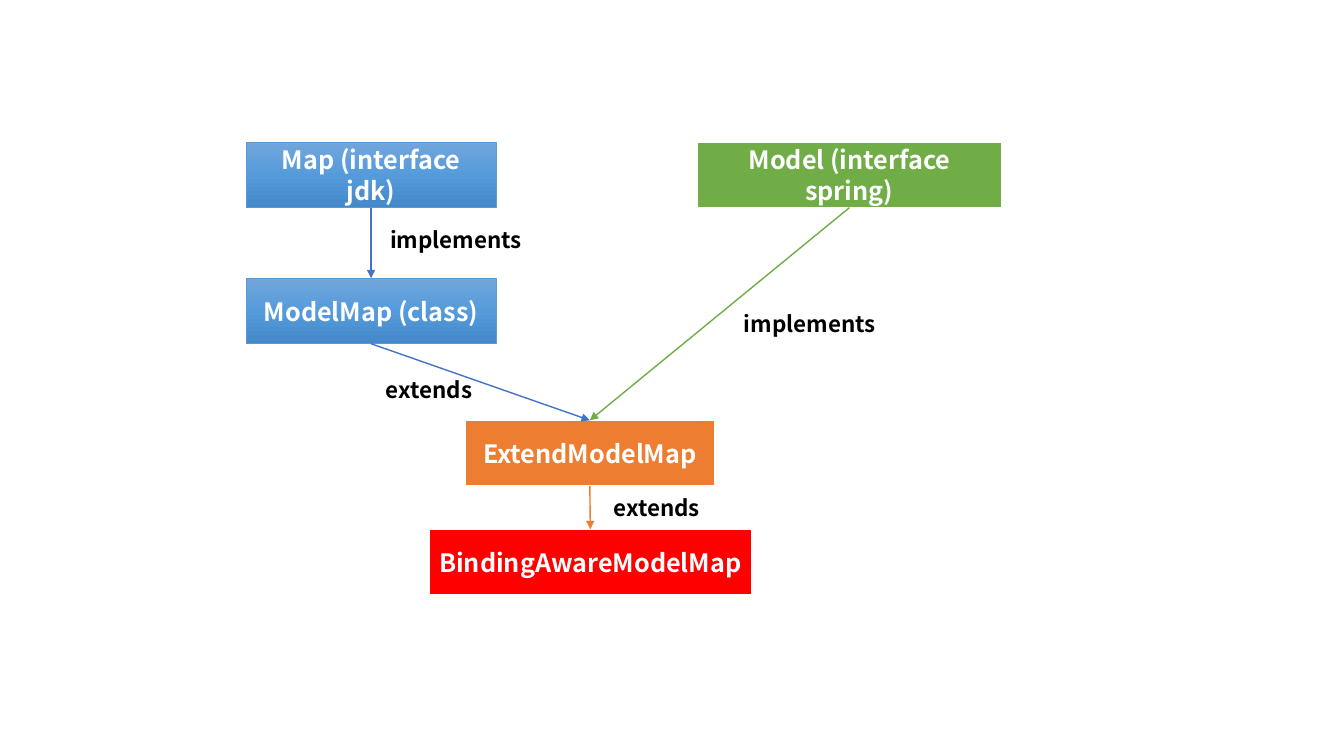
from copy import deepcopy

from lxml.etree import SubElement
from pptx import Presentation
from pptx.dml.color import RGBColor
from pptx.enum.shapes import MSO_CONNECTOR, MSO_SHAPE
from pptx.enum.text import MSO_ANCHOR, MSO_AUTO_SIZE, PP_ALIGN
from pptx.oxml.ns import qn
from pptx.util import Inches, Pt

FONT = "Noto Sans CJK SC"
BOX_HEIGHT = 0.65
BOTTOM, TOP = 2, 0
COLORS = {
    "white": "FFFFFF",
    "black": "000000",
    "blue_border": "5B9BD5",
    "blue_arrow": "4472C4",
    "green": "70AD47",
    "orange": "ED7D31",
    "red": "FF0000",
}
BLUE_GRADIENT = [(0, "71A6DB"), (0.5, "559BDB"), (1, "448ACA")]


def rgb(name):
    return RGBColor.from_string(COLORS[name])


def add_bold_run(paragraph, text, size, color):
    run = paragraph.add_run()
    run.text = text
    run.font.name = FONT
    run.font.size = Pt(size)
    run.font.bold = True
    run.font.color.rgb = rgb(color)


def fill_blue_gradient(shape):
    shape.fill.gradient()
    shape.fill.gradient_angle = 270
    stop_list = shape.fill._xPr.find(qn("a:gradFill")).find(qn("a:gsLst"))
    stop_list.insert(1, deepcopy(stop_list[0]))
    for stop, (position, color) in zip(shape.fill.gradient_stops, BLUE_GRADIENT):
        stop.position = position
        stop.color.rgb = RGBColor.from_string(color)


def add_type_box(slide, text, left, top, width, color=None):
    shape = slide.shapes.add_shape(
        MSO_SHAPE.RECTANGLE, Inches(left), Inches(top), Inches(width), Inches(BOX_HEIGHT)
    )
    shape.shadow.inherit = False
    if color:
        shape.fill.solid()
        shape.fill.fore_color.rgb = rgb(color)
    else:
        fill_blue_gradient(shape)
    shape.line.color.rgb = rgb("white" if color else "blue_border")
    shape.line.width = Pt(1.5 if color else 0.5)
    frame = shape.text_frame
    frame.word_wrap = True
    frame.vertical_anchor = MSO_ANCHOR.MIDDLE
    paragraph = frame.paragraphs[0]
    paragraph.alignment = PP_ALIGN.CENTER
    add_bold_run(paragraph, text, 18, "white")
    return shape


def add_arrow(slide, child, parent, color):
    connector = slide.shapes.add_connector(MSO_CONNECTOR.STRAIGHT, 0, 0, 0, 0)
    connector.begin_connect(child, BOTTOM)
    connector.end_connect(parent, TOP)
    connector.line.color.rgb = rgb(color)
    connector.line.width = Pt(1)
    SubElement(connector.line._get_or_add_ln(), qn("a:tailEnd"), type="triangle")
    SubElement(connector._element.spPr, qn("a:effectLst"))


def add_label(slide, text, left, top):
    label = slide.shapes.add_textbox(Inches(left), Inches(top), Inches(1.51), Inches(0.37))
    frame = label.text_frame
    frame.word_wrap = True
    frame.auto_size = MSO_AUTO_SIZE.SHAPE_TO_FIT_TEXT
    add_bold_run(frame.paragraphs[0], text, 16, "black")


def main():
    presentation = Presentation()
    presentation.slide_width = Inches(13.33)
    presentation.slide_height = Inches(7.5)
    slide = presentation.slides.add_slide(presentation.slide_layouts[6])

    map_box = add_type_box(slide, "Map (interface jdk)", 2.44, 1.41, 2.48)
    model_box = add_type_box(slide, "Model (interface spring)", 6.91, 1.41, 3.03, "green")
    model_map_box = add_type_box(slide, "ModelMap (class)", 2.44, 2.76, 2.48)
    extend_box = add_type_box(slide, "ExtendModelMap", 4.61, 4.17, 2.48, "orange")
    binding_box = add_type_box(slide, "BindingAwareModelMap", 4.25, 5.25, 3.21, "red")

    add_arrow(slide, map_box, model_map_box, "blue_arrow")
    add_arrow(slide, model_map_box, extend_box, "blue_arrow")
    add_arrow(slide, model_box, extend_box, "green")
    add_arrow(slide, extend_box, binding_box, "orange")

    add_label(slide, "implements", 3.77, 2.19)
    add_label(slide, "implements", 7.28, 3.03)
    add_label(slide, "extends", 3.73, 3.68)
    add_label(slide, "extends", 5.99, 4.85)

    presentation.save("out.pptx")


if __name__ == "__main__":
    main()
